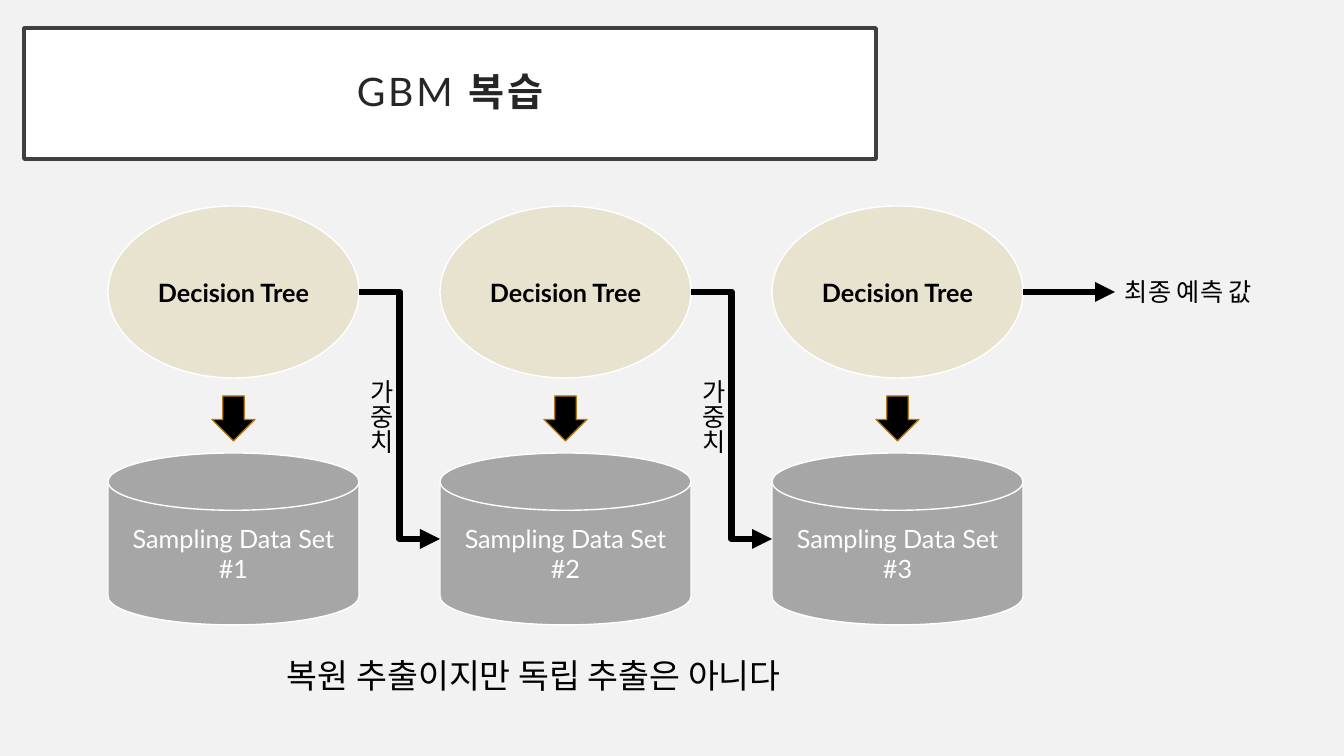
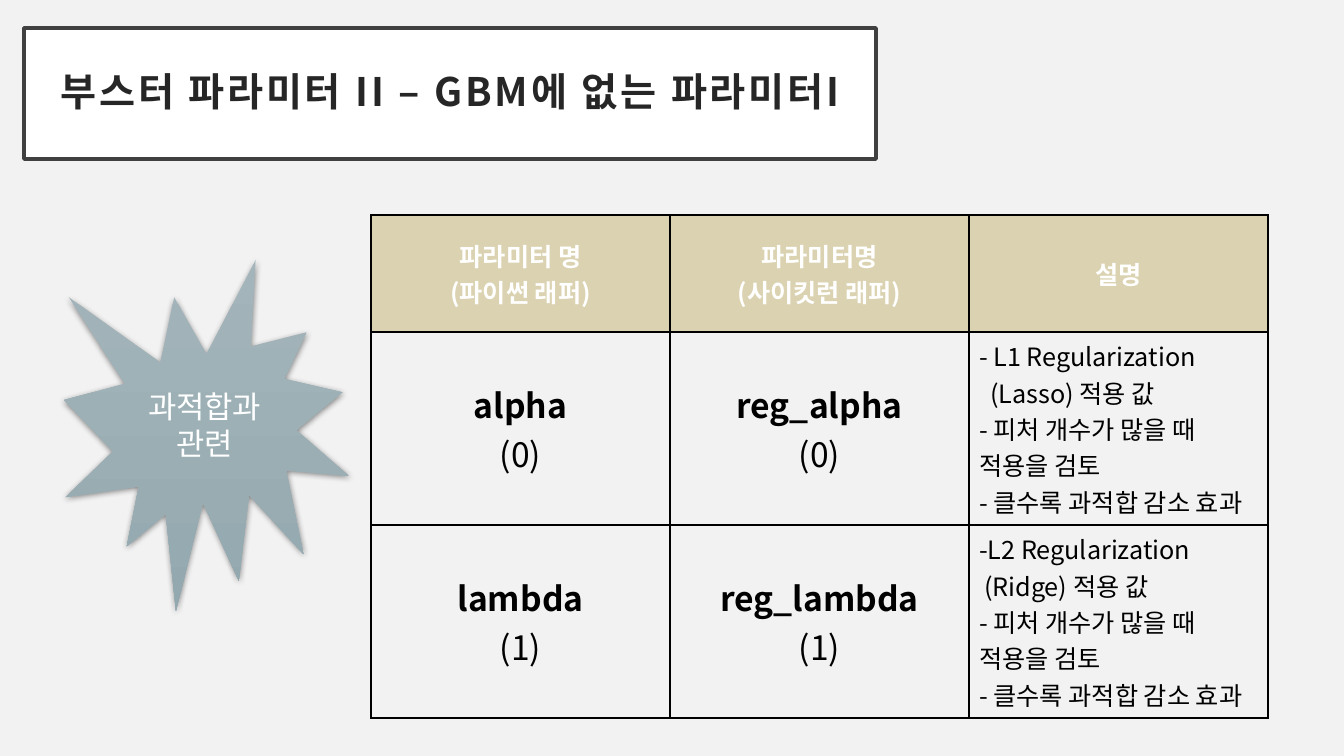
"""Builds two slides on gradient boosting: a GBM review and a booster parameter table."""
from lxml import etree
from pptx import Presentation
from pptx import util as u
from pptx.dml import color
from pptx.enum import shapes, text
from pptx.oxml import ns

PX = 914400 / 100.8
C = {
    "back": "F2F2F2", "white": "FFFFFF", "black": "000000", "title": "262626",
    "frame": "404040", "tree": "E8E3CE", "data": "A6A6A6", "arrow_edge": "B67815",
    "header": "DAD2B0", "seal_top": "A3B5BB", "seal_bottom": "93A9AF",
}
RGB = {name: color.RGBColor.from_string(value) for name, value in C.items()}
LATO, NOTO = "Lato", "Noto Sans CJK KR"
LEFT, CENTER = text.PP_ALIGN.LEFT, text.PP_ALIGN.CENTER
MIDDLE = text.MSO_ANCHOR.MIDDLE
SHAPE = shapes.MSO_SHAPE
LINK = shapes.MSO_CONNECTOR


def add_run(p, words, ink, **fmt):
    r = p.add_run()
    r.text = words
    for key, value in fmt.items():
        setattr(r.font, key, value)
    r.font.color.rgb = RGB[ink]
    rPr = r.font._element
    etree.SubElement(rPr, ns.qn("a:ea"), typeface=fmt["name"])
    return rPr


def write(tf, lines, ink, align=LEFT, **fmt):
    for i, line in enumerate(lines):
        p = tf.add_paragraph() if i else tf.paragraphs[0]
        p.alignment = align
        add_run(p, line, ink, **fmt)


prs = Presentation()
prs.slide_width, prs.slide_height = u.Inches(13.333), u.Inches(7.5)
fill = prs.slide_master.background.fill
fill.solid()
fill.fore_color.rgb = RGB["back"]

titles = [
    [("GBM ", LATO, False), ("복습", NOTO, True)],
    [("부스터 파라미터 II – GBM에 없는 파라미터I", NOTO, True)],
]
slides = []
for runs in titles:
    s = prs.slides.add_slide(prs.slide_layouts[5])
    slides.append(s)
    sp = s.shapes.title
    sp.left, sp.top, sp.width, sp.height = [int(v * PX) for v in (24, 28, 852, 131)]
    sp.fill.solid()
    sp.fill.fore_color.rgb = RGB["white"]
    sp.line.color.rgb = RGB["frame"]
    sp.line.width = u.Pt(2.5)
    tf = sp.text_frame
    inset = int(20 * PX)
    frame = {
        "margin_left": inset, "margin_right": inset, "margin_top": inset, "margin_bottom": inset,
        "vertical_anchor": MIDDLE, "word_wrap": True,
        "auto_size": text.MSO_AUTO_SIZE.TEXT_TO_FIT_SHAPE,
    }
    for key, value in frame.items():
        setattr(tf, key, value)
    p = tf.paragraphs[0]
    p.alignment, p.line_spacing = CENTER, 0.9
    for words, font, bold in runs:
        add_run(p, words, "title", name=font, size=u.Pt(28), bold=bold).set("spc", "200")

review, params = slides

LEFT_X, PITCH, W, H = 108, 332, 251, 172
TREE_Y, DATA_Y = 206, 453
tree_mid, data_mid = TREE_Y + H // 2, DATA_Y + H // 2
links = []
labels = [
    (1115, 271, 154, 40, "최종 예측 값", 18, None),
    (277, 650, 535, 50, "복원 추출이지만 독립 추출은 아니다", 24, None),
]
for i in range(3):
    x = LEFT_X + i * PITCH
    parts = [
        (SHAPE.OVAL, x, TREE_Y, W, H, "tree", "white", ["Decision Tree"], "black", True),
        (SHAPE.FLOWCHART_MAGNETIC_DISK, x, DATA_Y, W, H, "data", "white",
         ["Sampling Data Set", f"#{i + 1}"], "white", False),
        (SHAPE.DOWN_ARROW, x + 104, 396, 43, 45, "black", "arrow_edge", [], "white", False),
    ]
    for kind, left, top, w, h, face, edge, lines, ink, bold in parts:
        sp = review.shapes.add_shape(kind, *[int(v * PX) for v in (left, top, w, h)])
        sp.shadow.inherit = False
        sp.fill.solid()
        sp.fill.fore_color.rgb = RGB[face]
        sp.line.color.rgb = RGB[edge]
        sp.line.width = u.Pt(1)
        sp.text_frame.vertical_anchor = MIDDLE
        write(sp.text_frame, lines, ink, CENTER, name=LATO, size=u.Pt(18), bold=bold)
    if i < 2:
        links.append((LINK.ELBOW, x + W, tree_mid, x + PITCH, data_mid))
        labels.append((x + 243, 369, 50, 87, "가중치", 18, "eaVert"))
    else:
        links.append((LINK.STRAIGHT, x + W, tree_mid, 1115, tree_mid))

for kind, *ends in links:
    link = review.shapes.add_connector(kind, *[int(v * PX) for v in ends])
    link.line.color.rgb = RGB["black"]
    link.line.width = u.Pt(4.75)
    etree.SubElement(link.line._get_or_add_ln(), ns.qn("a:tailEnd"), type="triangle")
    etree.SubElement(link.element.spPr, ns.qn("a:effectLst"))

for left, top, w, h, words, size, vert in labels:
    sp = review.shapes.add_textbox(*[int(v * PX) for v in (left, top, w, h)])
    tf = sp.text_frame
    tf.word_wrap = False
    tf.auto_size = text.MSO_AUTO_SIZE.SHAPE_TO_FIT_TEXT
    if vert:
        sp.element.txBody.bodyPr.set("vert", vert)
    write(tf, [words], "black", name=NOTO, size=u.Pt(size))

effects = ["- 피처 개수가 많을 때 적용을 검토", "- 클수록 과적합 감소 효과"]
rows = [
    [["파라미터 명", "(파이썬 래퍼)"], ["파라미터명", "(사이킷런 래퍼)"], ["설명"]],
    [["alpha", "(0)"], ["reg_alpha", "(0)"],
     ["- L1 Regularization", "(Lasso) 적용 값", *effects]],
    [["lambda", "(1)"], ["reg_lambda", "(1)"],
     ["-L2 Regularization", "(Ridge) 적용 값", *effects]],
]
indents = {1: 11, 2: 5}
heights = [117, 193, 193]
box = [int(v * PX) for v in (371, 215, 897, sum(heights))]
table = params.shapes.add_table(3, 3, *box).table
table.first_row = table.horz_banding = False
for col in table.columns:
    col.width = int(299 * PX)
for i, row in enumerate(rows):
    table.rows[i].height = int(heights[i] * PX)
    for j, lines in enumerate(row):
        cell = table.cell(i, j)
        tcPr = cell._tc.get_or_add_tcPr()
        for side in ("lnL", "lnR", "lnT", "lnB"):
            ln = etree.SubElement(tcPr, ns.qn(f"a:{side}"), w="12700")
            solid = etree.SubElement(ln, ns.qn("a:solidFill"))
            etree.SubElement(solid, ns.qn("a:srgbClr"), val=C["black"])
        cell.vertical_anchor = MIDDLE
        tf = cell.text_frame
        if i == 0:
            cell.fill.solid()
            cell.fill.fore_color.rgb = RGB["header"]
            write(tf, lines, "white", CENTER, name=NOTO, size=u.Pt(18), bold=True)
            continue
        cell.fill.background()
        if j < 2:
            write(tf, lines, "black", CENTER, name=NOTO, size=u.Pt(24), bold=False)
            tf.paragraphs[0].runs[0].font.bold = True
        else:
            write(tf, lines, "black", name=NOTO, size=u.Pt(18), bold=False)
            tf.paragraphs[1]._p.get_or_add_pPr().set("marL", str(int(indents[i] * PX)))

seal = params.shapes.add_shape(SHAPE.EXPLOSION1, *[int(v * PX) for v in (64, 260, 285, 351)])
seal.fill.gradient()
seal.fill.gradient_angle = 270
for stop, name, place in zip(seal.fill.gradient_stops, ("seal_top", "seal_bottom"), (0, 1)):
    stop.color.rgb = RGB[name]
    stop.position = place
seal.line.fill.background()
seal.shadow.inherit = False
shadow = etree.SubElement(
    seal.element.spPr.find(ns.qn("a:effectLst")), ns.qn("a:outerShdw"),
    blurRad=str(u.Pt(4.4)), dist=str(u.Pt(1.2)), dir="5400000", algn="ctr", rotWithShape="0")
shade = etree.SubElement(shadow, ns.qn("a:srgbClr"), val=C["black"])
etree.SubElement(shade, ns.qn("a:alpha"), val="45000")
seal.text_frame.word_wrap = True
seal.text_frame.vertical_anchor = MIDDLE
write(seal.text_frame, ["과적합과 관련"], "white", CENTER, name=NOTO, size=u.Pt(22))

prs.save("out.pptx")
